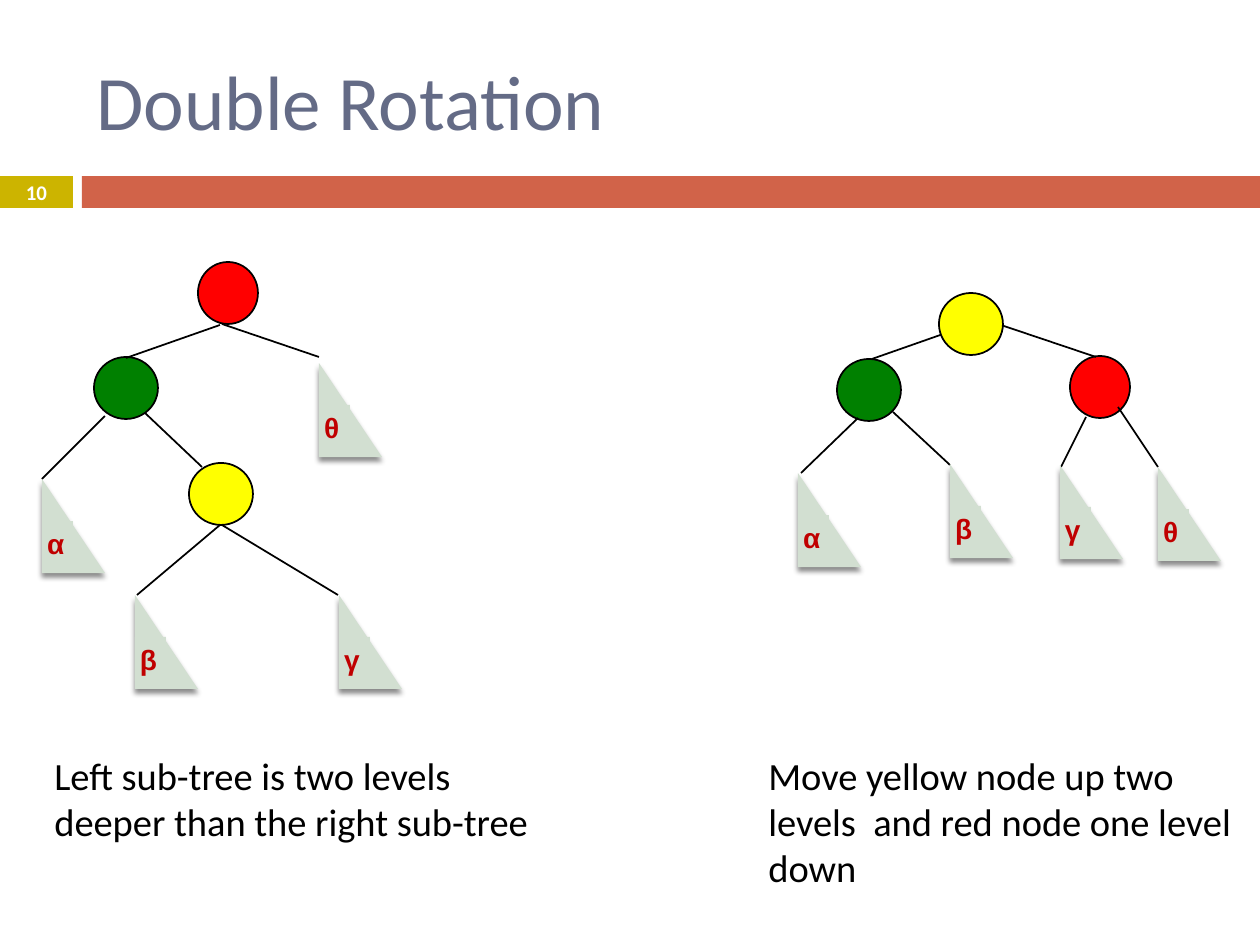
import pptx
import pptx.util
import pptx.oxml
import pptx.oxml.ns
import pptx.dml.color
import pptx.enum.shapes
import pptx.enum.text

SCALE = 914400 / 126
COLORS = {
    "title": "646B86", "number": "CCB400", "band": "D16349", "white": "FFFFFF",
    "black": "000000", "red": "FF0000", "green": "008000", "yellow": "FFFF00",
    "subtree": "D2DFD1", "letter": "C00000",
}
SHAPE = pptx.enum.shapes.MSO_SHAPE
ALIGN = pptx.enum.text.PP_ALIGN
MIDDLE = pptx.enum.text.MSO_ANCHOR.MIDDLE
GROW = pptx.enum.text.MSO_AUTO_SIZE.SHAPE_TO_FIT_TEXT
NAMESPACE = 'xmlns:a="http://schemas.openxmlformats.org/drawingml/2006/main"'
SHADOW = (
    f'<a:effectLst {NAMESPACE}><a:outerShdw blurRad="38100" dist="30480" dir="5400000" '
    'rotWithShape="0"><a:srgbClr val="000000"><a:alpha val="45000"/></a:srgbClr>'
    '</a:outerShdw></a:effectLst>'
)


def emu(*pixels):
    """Turn pixel lengths into EMU."""
    return [pptx.util.Emu(round(pixel * SCALE)) for pixel in pixels]


def color(name):
    """Return the named colour."""
    return pptx.dml.color.RGBColor.from_string(COLORS[name])


def assign(target, values):
    """Set attributes from a dict."""
    for name, value in values.items():
        setattr(target, name, value)


class TreeSlide:
    """Style and current slide, with a method for each kind of element."""

    def __init__(self, presentation):
        """Add a title-only slide."""
        self.slide = presentation.slides.add_slide(presentation.slide_layouts[5])

    def fill_text(self, shape, text, ink, font, frame=None, paragraph=None):
        """Put one formatted paragraph into a shape."""
        shape.text_frame.text = text
        assign(shape.text_frame, {"word_wrap": True, **(frame or {})})
        line = shape.text_frame.paragraphs[0]
        assign(line, {"alignment": ALIGN.LEFT, **(paragraph or {})})
        run_font = line.runs[0].font
        assign(run_font, {"name": "Calibri", **font})
        run_font.color.rgb = color(ink)

    def title(self, text, box):
        """Place and format the title placeholder."""
        shape = self.slide.shapes.title
        assign(shape, dict(zip(("left", "top", "width", "height"), emu(*box))))
        self.fill_text(shape, text, "title", {"size": pptx.util.Pt(44)},
                       {"vertical_anchor": MIDDLE})

    def text(self, text, box, ink, font, frame=None, paragraph=None):
        """Add a text box."""
        shape = self.slide.shapes.add_textbox(*emu(*box))
        self.fill_text(shape, text, ink, font, frame, paragraph)

    def shape(self, kind, box, fill, outlined=False, parent=None):
        """Add a filled preset shape."""
        shape = (parent or self.slide).shapes.add_shape(kind, *emu(*box))
        shape.shadow.inherit = False
        shape.fill.solid()
        shape.fill.fore_color.rgb = color(fill)
        if outlined:
            shape.line.color.rgb = color("black")
            shape.line.width = pptx.util.Pt(1)
        else:
            shape.line.fill.background()
        return shape

    def node(self, fill, left, top):
        """Add a tree node; red ones are a little narrower."""
        width = 60 if fill == "red" else 64
        self.shape(SHAPE.OVAL, (left, top, width, 62), fill, outlined=True)

    def edge(self, *ends):
        """Add a straight black line."""
        line = self.slide.shapes.add_connector(
            pptx.enum.shapes.MSO_CONNECTOR.STRAIGHT, *emu(*ends))
        line.line.color.rgb = color("black")
        line.line.width = pptx.util.Pt(1)
        line._element.spPr.append(pptx.oxml.parse_xml(f"<a:effectLst {NAMESPACE}/>"))

    def subtree(self, letter, left, top):
        """Add a grouped triangle with its letter."""
        group = self.slide.shapes.add_group_shape()
        triangle = self.shape(SHAPE.RIGHT_TRIANGLE, (left, top, 63, 94), "subtree", parent=group)
        properties = triangle._element.spPr
        properties.remove(properties.find(pptx.oxml.ns.qn("a:effectLst")))
        properties.append(pptx.oxml.parse_xml(SHADOW))
        label = self.shape(SHAPE.RECTANGLE, (left, top + 42, 31, 44), "subtree", parent=group)
        margins = dict(zip(("margin_left", "margin_top", "margin_right", "margin_bottom"),
                           emu(5, 5, 11, 5)))
        self.fill_text(
            label, letter, "letter",
            {"name": "Arial", "size": pptx.util.Pt(16), "bold": True},
            {"word_wrap": False, "auto_size": GROW, "vertical_anchor": MIDDLE, **margins},
            {"alignment": ALIGN.CENTER, "space_before": pptx.util.Pt(9)})

    def tree(self, nodes, edges, middle_node, subtrees):
        """Draw a tree, with the moving node above the edges."""
        for node in nodes:
            self.node(*node)
        for edge in edges:
            self.edge(*edge)
        self.node(*middle_node)
        for subtree in subtrees:
            self.subtree(*subtree)


def main():
    """Build and save the slide."""
    presentation = pptx.Presentation()
    presentation.slide_width, presentation.slide_height = emu(1260, 945)
    page = TreeSlide(presentation)
    page.shape(SHAPE.RECTANGLE, (0, 176, 73, 32), "number")
    page.shape(SHAPE.RECTANGLE, (82, 176, 1178, 32), "band")
    page.title("Double Rotation", (84, 32, 1124, 136))
    page.text("10", (0, 175, 73, 34), "white", {"size": pptx.util.Pt(11.9), "bold": True},
              {"vertical_anchor": MIDDLE}, {"alignment": ALIGN.CENTER})

    page.tree(
        nodes=[("red", 198, 262), ("green", 94, 357)],
        edges=[(220, 325, 126, 358), (222, 324, 319, 357), (105, 416, 42, 479),
               (145, 413, 202, 467), (220, 525, 137, 595), (222, 525, 338, 595)],
        middle_node=("yellow", 189, 463),
        subtrees=[("α", 42, 479), ("β", 135, 595), ("γ", 339, 595), ("θ", 319, 363)])
    page.tree(
        nodes=[("red", 1070, 356), ("green", 837, 359)],
        edges=[(966, 326, 872, 359), (998, 324, 1096, 357), (858, 418, 801, 473),
               (893, 412, 950, 465), (1086, 417, 1061, 467), (1118, 407, 1158, 467)],
        middle_node=("yellow", 939, 293),
        subtrees=[("α", 798, 473), ("β", 950, 464), ("γ", 1060, 465), ("θ", 1158, 467)])

    captions = [
        ("Left sub-tree is two levels deeper than the right sub-tree", (42, 746, 514, 106)),
        ("Move yellow node up two levels  and red node one level down", (756, 746, 494, 152)),
    ]
    for caption, box in captions:
        page.text(caption, box, "black", {"size": pptx.util.Pt(22)}, {"auto_size": GROW})
    presentation.save("out.pptx")


main()
